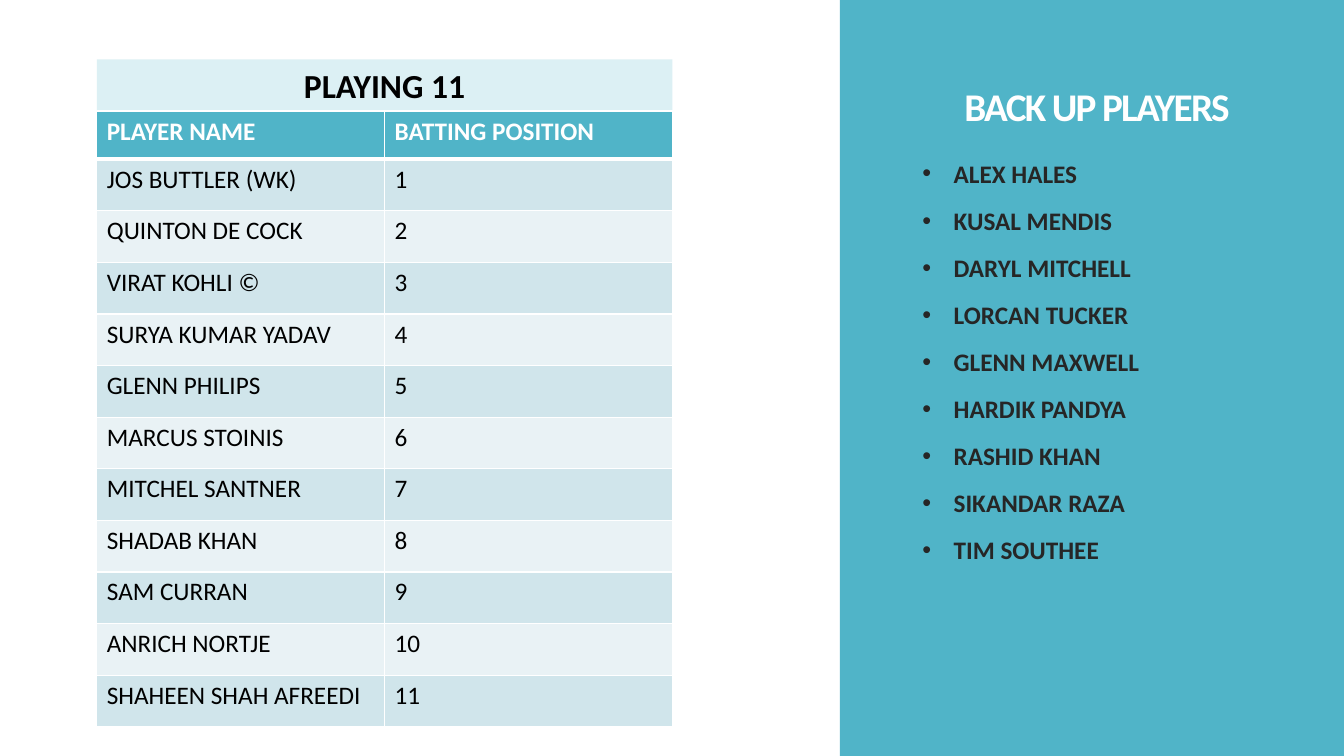
from pptx import Presentation
from pptx.util import Inches, Pt
from pptx.dml.color import RGBColor
from pptx.enum.shapes import MSO_SHAPE
from pptx.enum.text import PP_ALIGN, MSO_ANCHOR
from lxml.etree import SubElement
from pptx.oxml import parse_xml
from pptx.oxml.ns import qn, nsdecls

TABLE_TITLE = "PLAYING 11"
HEADINGS = ("PLAYER NAME", "BATTING POSITION")
PLAYERS = [
    "JOS BUTTLER (WK)", "QUINTON DE COCK", "VIRAT KOHLI ©",
    "SURYA KUMAR YADAV", "GLENN PHILIPS", "MARCUS STOINIS",
    "MITCHEL SANTNER", "SHADAB KHAN", "SAM CURRAN",
    "ANRICH NORTJE", "SHAHEEN SHAH AFREEDI",
]
BACKUP_TITLE = "BACK UP PLAYERS"
BACKUPS = [
    "ALEX HALES", "KUSAL MENDIS", "DARYL MITCHELL", "LORCAN TUCKER",
    "GLENN MAXWELL", "HARDIK PANDYA", "RASHID KHAN", "SIKANDAR RAZA",
    "TIM SOUTHEE",
]

FONT = "Calibri"
WHITE = RGBColor(0xFF, 0xFF, 0xFF)
BLACK = RGBColor(0, 0, 0)
DARK = RGBColor(0x26, 0x26, 0x26)
TEAL = RGBColor(0x50, 0xB4, 0xC8)
PALE = RGBColor(0xDC, 0xF0, 0xF4)
BANDS = (RGBColor(0xE9, 0xF2, 0xF5), RGBColor(0xD0, 0xE5, 0xEB))

SLIDE_W, SLIDE_H = 13.33, 7.5
PANEL_X = SLIDE_W * 0.625
TABLE_X, TABLE_Y, TABLE_W, TABLE_H = 0.96, 1.11, 5.71, 6.1
HEAD_H = 0.47
ROW_H = (TABLE_H - HEAD_H) / len(PLAYERS)
BANNER_Y, BANNER_H = 0.59, 0.5
BULLET_INDENT = 0.31


def add_run(p, text, size, color, bold=False):
    r = p.add_run()
    r.text = text
    r.font.name = FONT
    r.font.size = Pt(size)
    r.font.bold = bold
    r.font.color.rgb = color
    return r


def add_rect(s, x, y, w, h, color):
    sp = s.shapes.add_shape(
        MSO_SHAPE.RECTANGLE, Inches(x), Inches(y), Inches(w), Inches(h))
    sp.shadow.inherit = False
    sp.fill.solid()
    sp.fill.fore_color.rgb = color
    sp.line.fill.background()
    return sp


def add_text_frame(s, x, y, w, h):
    box = s.shapes.add_textbox(Inches(x), Inches(y), Inches(w), Inches(h))
    box.text_frame.word_wrap = True
    return box.text_frame


def set_borders(cell, top, bottom):
    tcPr = cell._tc.get_or_add_tcPr()
    widths = {"lnL": 1, "lnR": 1, "lnT": top, "lnB": bottom}
    for i, (tag, width) in enumerate(widths.items()):
        tcPr.insert(i, parse_xml(
            f'<a:{tag} {nsdecls("a")} w="{Pt(width)}"><a:solidFill>'
            f'<a:srgbClr val="{WHITE}"/></a:solidFill></a:{tag}>'))


def add_lineup(s):
    rows = [HEADINGS] + [(n, str(i)) for i, n in enumerate(PLAYERS, 1)]
    table = s.shapes.add_table(
        len(rows), len(HEADINGS), Inches(TABLE_X), Inches(TABLE_Y),
        Inches(TABLE_W), Inches(TABLE_H)).table
    for col in table.columns:
        col.width = Inches(TABLE_W / len(HEADINGS))
    for i, row in enumerate(rows):
        head = i == 0
        table.rows[i].height = Inches(HEAD_H if head else ROW_H)
        for j, text in enumerate(row):
            cell = table.cell(i, j)
            cell.fill.solid()
            cell.fill.fore_color.rgb = TEAL if head else BANDS[i % 2]
            set_borders(cell, 3 if i == 1 else 1, 3 if head else 1)
            add_run(cell.text_frame.paragraphs[0], text, 18,
                    WHITE if head else BLACK, head)


def add_backups(s):
    tf = add_text_frame(s, 9.03, 0.59, 3.7, 0.74)
    tf.vertical_anchor = MSO_ANCHOR.BOTTOM
    p = tf.paragraphs[0]
    p.alignment = PP_ALIGN.CENTER
    p.line_spacing = 0.85
    r = add_run(p, BACKUP_TITLE, 28, WHITE, True)
    r.font._element.set("spc", "-120")

    tf = add_text_frame(s, 9.05, 1.52, 3.72, 4.64)
    for i, name in enumerate(BACKUPS):
        p = tf.add_paragraph() if i else tf.paragraphs[0]
        p.space_before = Pt(12)
        pPr = p._p.get_or_add_pPr()
        pPr.set("marL", str(Inches(BULLET_INDENT)))
        pPr.set("indent", str(-Inches(BULLET_INDENT)))
        SubElement(pPr, qn("a:buFont")).set("typeface", "Arial")
        SubElement(pPr, qn("a:buChar")).set("char", "•")
        add_run(p, name, 18, DARK, True)


def main():
    prs = Presentation()
    prs.slide_width, prs.slide_height = Inches(SLIDE_W), Inches(SLIDE_H)
    s = prs.slides.add_slide(prs.slide_layouts[6])
    add_rect(s, PANEL_X, 0, SLIDE_W - PANEL_X, SLIDE_H, TEAL)
    add_backups(s)
    add_lineup(s)
    banner = add_rect(s, TABLE_X, BANNER_Y, TABLE_W, BANNER_H, PALE)
    p = banner.text_frame.paragraphs[0]
    p.alignment = PP_ALIGN.CENTER
    add_run(p, TABLE_TITLE, 24, BLACK, True)
    prs.save("out.pptx")


if __name__ == "__main__":
    main()
